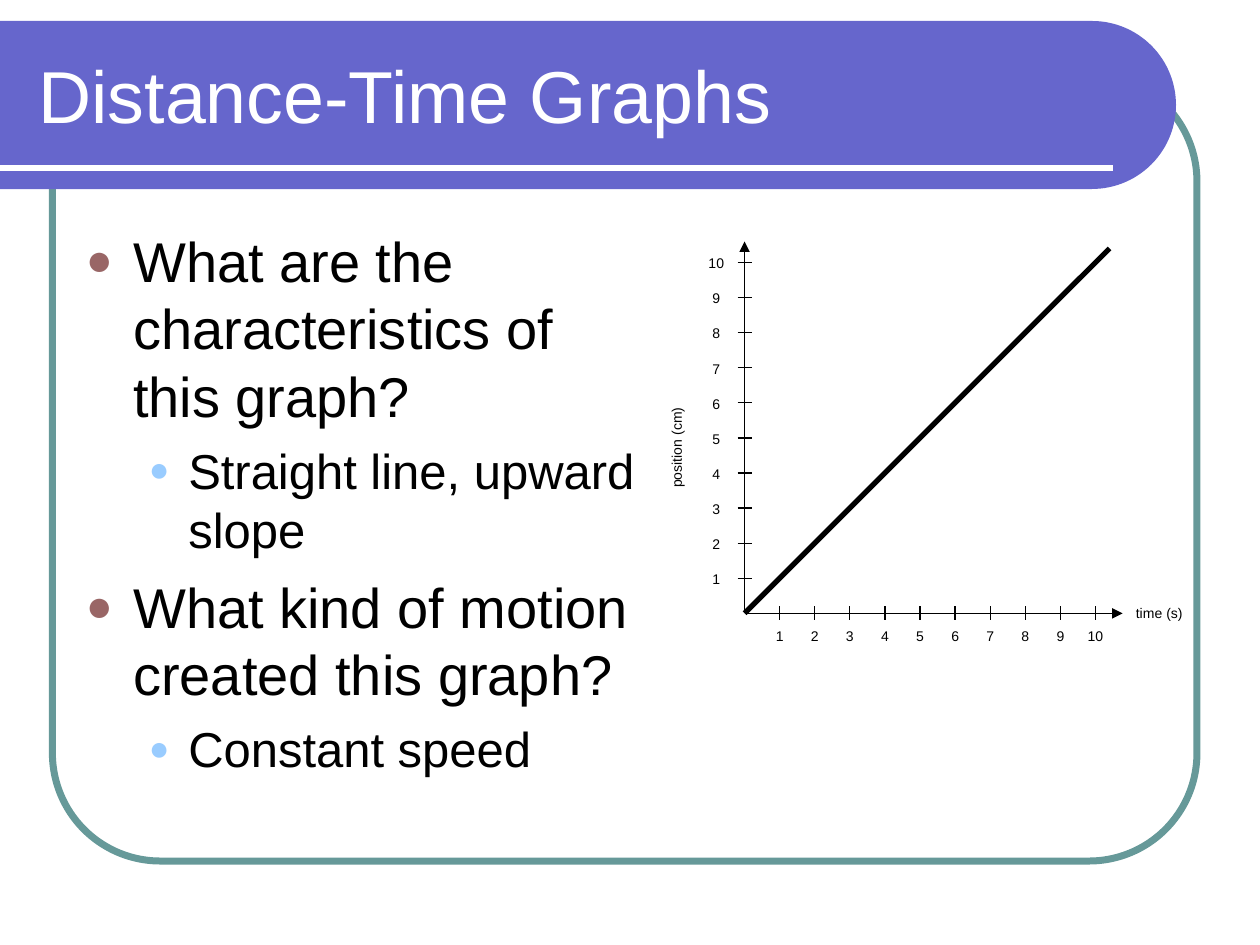
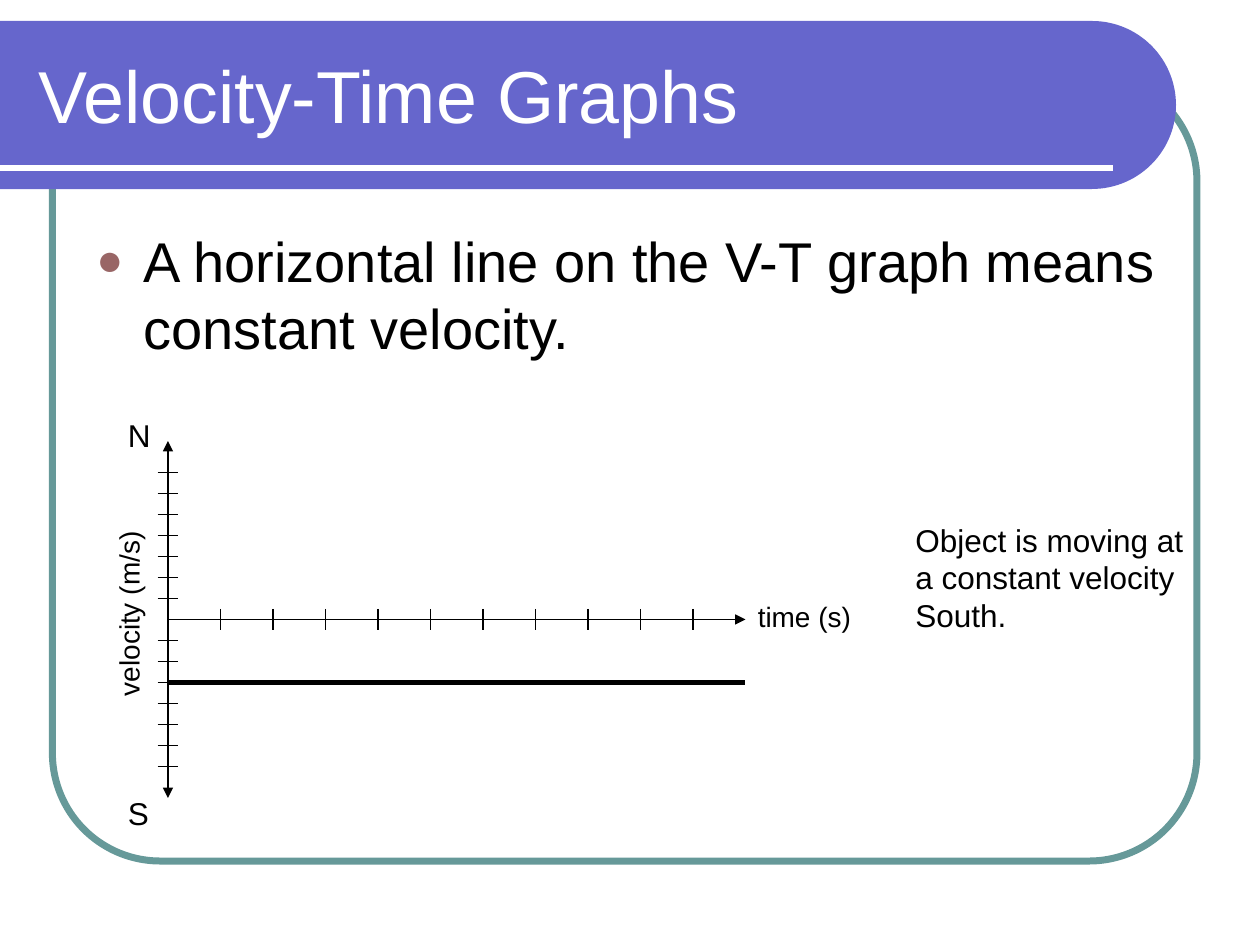
import math
from dataclasses import dataclass
from typing import Any

import lxml.etree
import pptx
import pptx.dml.color
import pptx.enum.shapes
import pptx.enum.text
import pptx.oxml
import pptx.oxml.ns
import pptx.util

Pt = pptx.util.Pt
ALIGN = pptx.enum.text.PP_ALIGN
ANCHOR = pptx.enum.text.MSO_ANCHOR

FONT = "Arial"
BLACK, WHITE, PURPLE, TEAL = "000000", "FFFFFF", "6666CC", "669999"
THIN, THICK = 0.75, 3


@dataclass(frozen=True)
class Box:
    left: float
    top: float
    width: float
    height: float

    def lengths(self) -> list[int]:
        return [Pt(v) for v in (self.left, self.top, self.width, self.height)]


@dataclass(frozen=True)
class Label:
    text: str
    box: Box
    size: float
    color: str = BLACK
    align: Any = ALIGN.LEFT
    anchor: Any = ANCHOR.TOP
    rotation: float = 0


@dataclass(frozen=True)
class BulletLevel:
    size: float
    color: str
    percent: int
    margin: float
    hanging: float
    space_before: float


@dataclass(frozen=True)
class Stroke:
    start: tuple[float, float]
    end: tuple[float, float]
    width: float = THIN
    color: str = BLACK
    head: bool = False
    tail: bool = False


@dataclass(frozen=True)
class Axes:
    origin: tuple[float, float]
    top: float
    bottom: float
    right: float
    x_step: float
    y_step: float
    x_ticks: range
    y_ticks: range
    half_tick: float
    two_way: bool


QUESTION = BulletLevel(32, "996666", 80, 27, 27, 8)
ANSWER = BulletLevel(28, "99CCFF", 70, 58.5, 22.5, 7)


def rgb(color: str) -> pptx.dml.color.RGBColor:
    return pptx.dml.color.RGBColor.from_string(color)


def apply(target: Any, values: dict[str, Any]) -> None:
    for name, value in values.items():
        setattr(target, name, value)


def add_child(parent: Any, tag: str, **attributes: str) -> Any:
    child = lxml.etree.SubElement(parent, pptx.oxml.ns.qn(tag))
    for name, value in attributes.items():
        child.set(name, value)
    return child


def style_run(run: Any, size: float, color: str) -> None:
    apply(run.font, {"name": FONT, "size": Pt(size)})
    run.font.color.rgb = rgb(color)


def add_label(slide: Any, label: Label) -> None:
    box = slide.shapes.add_textbox(*label.box.lengths())
    box.rotation = label.rotation
    apply(box.text_frame, {"word_wrap": True, "vertical_anchor": label.anchor})
    paragraph = box.text_frame.paragraphs[0]
    paragraph.alignment = label.align
    run = paragraph.add_run()
    run.text = label.text
    style_run(run, label.size, label.color)


def add_bullets(slide: Any, box: Box, items: list[tuple[BulletLevel, str]]) -> None:
    frame = slide.shapes.add_textbox(*box.lengths()).text_frame
    frame.word_wrap = True
    for index, (level, text) in enumerate(items):
        paragraph = frame.add_paragraph() if index else frame.paragraphs[0]
        apply(paragraph, {"space_before": Pt(level.space_before),
                          "level": int(level is ANSWER)})
        properties = paragraph._p.get_or_add_pPr()
        properties.set("marL", str(Pt(level.margin)))
        properties.set("indent", str(-Pt(level.hanging)))
        add_child(add_child(properties, "a:buClr"), "a:srgbClr", val=level.color)
        add_child(properties, "a:buSzPct", val=str(level.percent * 1000))
        add_child(properties, "a:buFont", typeface=FONT)
        add_child(properties, "a:buChar", char="●")
        run = paragraph.add_run()
        run.text = text
        style_run(run, level.size, BLACK)


def add_stroke(slide: Any, stroke: Stroke) -> None:
    connector = slide.shapes.add_connector(
        pptx.enum.shapes.MSO_CONNECTOR.STRAIGHT,
        *(Pt(v) for v in (*stroke.start, *stroke.end)))
    connector.line.width = Pt(stroke.width)
    connector.line.color.rgb = rgb(stroke.color)
    outline = connector.line._get_or_add_ln()
    for tag, wanted in (("a:headEnd", stroke.head), ("a:tailEnd", stroke.tail)):
        if wanted:
            add_child(outline, tag, type="triangle")
    add_child(connector._element.spPr, "a:effectLst")


def add_axes(slide: Any, axes: Axes) -> None:
    x0, y0 = axes.origin
    half = axes.half_tick
    add_stroke(slide, Stroke((x0, axes.top), (x0, axes.bottom),
                             head=True, tail=axes.two_way))
    add_stroke(slide, Stroke((x0, y0), (axes.right, y0), tail=True))
    for tick in axes.x_ticks:
        x = x0 + tick * axes.x_step
        add_stroke(slide, Stroke((x, y0 - half), (x, y0 + half)))
    for tick in axes.y_ticks:
        if tick:
            y = y0 - tick * axes.y_step
            add_stroke(slide, Stroke((x0 - half, y), (x0 + half, y)))


def add_tick_numbers(slide: Any, axes: Axes) -> None:
    x0, y0 = axes.origin
    width, height = 24, 17.28
    centers = [(tick, x0 + tick * axes.x_step, y0 + 13) for tick in axes.x_ticks]
    centers += [(tick, x0 - 16.2, y0 - tick * axes.y_step + 0.7) for tick in axes.y_ticks]
    for tick, x, y in centers:
        box = Box(x - width / 2, y - height / 2, width, height)
        add_label(slide, Label(str(tick), box, 8, align=ALIGN.CENTER))


def add_themed_slide(deck: Any, title: str) -> Any:
    slide = deck.slides.add_slide(deck.slide_layouts[6])

    # Rounded frame
    frame = slide.shapes.add_shape(pptx.enum.shapes.MSO_SHAPE.ROUNDED_RECTANGLE,
                                   *Box(30, 42, 654, 450).lengths())
    frame.adjustments[0] = 0.137
    frame.shadow.inherit = False
    frame.fill.background()
    frame.line.width = Pt(4)
    frame.line.color.rgb = rgb(TEAL)

    # Title band with a half-round right end
    center_x, center_y, radius = 624, 60, 48
    angles = [math.radians(a) for a in range(-90, 91, 3)]
    arc = [(Pt(center_x + radius * math.cos(a)), Pt(center_y + radius * math.sin(a)))
           for a in angles]
    builder = slide.shapes.build_freeform(0, Pt(center_y - radius))
    builder.add_line_segments([*arc, (0, Pt(center_y + radius))], close=True)
    band = builder.convert_to_shape()
    band.shadow.inherit = False
    band.fill.solid()
    band.fill.fore_color.rgb = rgb(PURPLE)
    band.line.fill.background()

    add_stroke(slide, Stroke((0, 96), (636, 96), THICK, WHITE))
    add_label(slide, Label(title, Box(15, 18, 631.5, 72), 42, WHITE,
                           anchor=ANCHOR.MIDDLE))
    return slide


def build_distance_slide(deck: Any) -> None:
    slide = add_themed_slide(deck, "Distance-Time Graphs")
    add_bullets(slide, Box(42, 126, 336, 348), [
        (QUESTION, "What are the characteristics of this graph?"),
        (ANSWER, "Straight line, upward slope"),
        (QUESTION, "What kind of motion created this graph?"),
        (ANSWER, "Constant speed"),
    ])
    axes = Axes(origin=(425.5, 350.5), top=138, bottom=350.5, right=641.5,
                x_step=20.05, y_step=20.05, x_ticks=range(1, 11),
                y_ticks=range(1, 11), half_tick=4, two_way=False)
    add_axes(slide, axes)
    add_tick_numbers(slide, axes)
    add_label(slide, Label("time (s)", Box(642, 342, 60, 17.28), 8))
    add_label(slide, Label("position (cm)", Box(346.5, 237, 80.5, 17.28), 8,
                           rotation=270))
    add_stroke(slide, Stroke(axes.origin, (634, 142), THICK))


def build_velocity_slide(deck: Any) -> None:
    slide = add_themed_slide(deck, "Velocity-Time Graphs")
    add_bullets(slide, Box(48, 126, 624, 348), [
        (QUESTION, "A horizontal line on the V-T graph means constant velocity."),
    ])
    axes = Axes(origin=(96, 354), top=252, bottom=456, right=426,
                x_step=30, y_step=12, x_ticks=range(1, 11),
                y_ticks=range(-7, 8), half_tick=6, two_way=True)
    add_axes(slide, axes)
    for label in (
        Label("time (s)", Box(426, 339, 72, 26.5), 16),
        Label("velocity (m/s)", Box(16.5, 337.5, 114, 26.5), 16,
              align=ALIGN.CENTER, rotation=270),
        Label("N", Box(66, 234, 30, 29), 18),
        Label("S", Box(66, 450, 30, 29), 18),
        Label("Object is moving at a constant velocity South.",
              Box(516, 294, 168, 72), 18),
    ):
        add_label(slide, label)
    add_stroke(slide, Stroke((96, 390), (426, 390), THICK))


def main() -> None:
    deck = pptx.Presentation()
    apply(deck, {"slide_width": Pt(720), "slide_height": Pt(540)})
    build_distance_slide(deck)
    build_velocity_slide(deck)
    deck.save("out.pptx")


if __name__ == "__main__":
    main()
